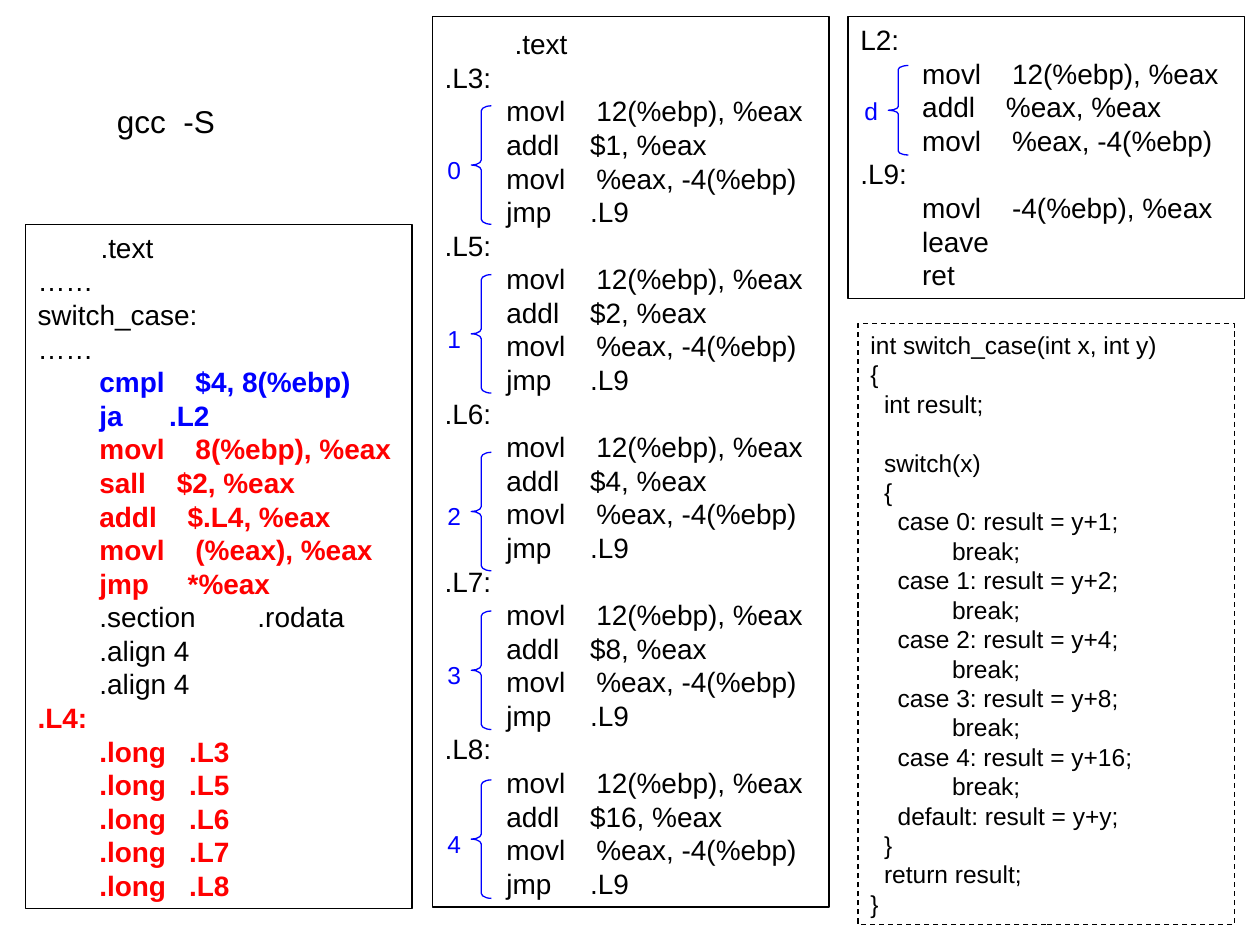
from lxml import etree
from pptx import Presentation
from pptx.dml.color import RGBColor
from pptx.enum.dml import MSO_LINE_DASH_STYLE as Dash
from pptx.enum.shapes import MSO_SHAPE as Shape
from pptx.enum.text import MSO_ANCHOR as Anchor, MSO_AUTO_SIZE as AutoSize, PP_ALIGN as Align
from pptx.oxml.ns import qn
from pptx.util import Inches, Pt

BLACK = RGBColor(0x00, 0x00, 0x00)
BLUE = RGBColor(0x00, 0x00, 0xFF)
RED = RGBColor(0xFF, 0x00, 0x00)

INDENT = " " * 8
LINE_RATIO = 1.2
PLAIN = {"color": BLACK, "bold": False}
CHECK = {"color": BLUE, "bold": True}
JUMP = {"color": RED, "bold": True}

SWITCH_CODE = """int switch_case(int x, int y)
{
  int result;

  switch(x)
  {
    case 0: result = y+1;
            break;
    case 1: result = y+2;
            break;
    case 2: result = y+4;
            break;
    case 3: result = y+8;
            break;
    case 4: result = y+16;
            break;
    default: result = y+y;
  }
  return result;
}"""

DEFAULT_CODE = """L2:
        movl    12(%ebp), %eax
        addl    %eax, %eax
        movl    %eax, -4(%ebp)
.L9:
        movl    -4(%ebp), %eax
        leave
        ret"""

TABLE_SECTIONS = [
    (PLAIN, ["\t.text", "……", "switch_case:", "……"]),
    (CHECK, [INDENT + "cmpl    $4, 8(%ebp)", INDENT + "ja      .L2"]),
    (JUMP, [INDENT + code for code in (
        "movl    8(%ebp), %eax", "sall    $2, %eax", "addl    $.L4, %eax",
        "movl    (%eax), %eax", "jmp     *%eax")]),
    (PLAIN, [INDENT + code for code in (".section        .rodata", ".align 4", ".align 4")]),
    (JUMP, [".L4:"] + [f"{INDENT}.long   .L{number}" for number in (3, 5, 6, 7, 8)]),
]

CASES = [(3, 1, 0.71), (5, 2, 2.05), (6, 4, 3.46), (7, 8, 4.72), (8, 16, 6.06)]


def set_values(target, values):
    """Set each named attribute of the target."""
    for name, value in values.items():
        setattr(target, name, value)


def prepare_frame(shape, side=0.1, edge=0.05):
    """Give a shape's text frame its margins and wrapping."""
    set_values(shape.text_frame, {
        "word_wrap": True, "auto_size": AutoSize.SHAPE_TO_FIT_TEXT,
        "vertical_anchor": Anchor.TOP,
        "margin_left": Inches(side), "margin_right": Inches(side),
        "margin_top": Inches(edge), "margin_bottom": Inches(edge)})
    return shape.text_frame


def write_lines(frame, lines, size):
    """Write each line, a list of (text, format) runs, as a paragraph."""
    for index, runs in enumerate(lines):
        paragraph = frame.add_paragraph() if index else frame.paragraphs[0]
        line_size = max([run_format.get("size", size) for _, run_format in runs])
        set_values(paragraph, {"alignment": Align.LEFT,
                               "line_spacing": Pt(round(line_size * LINE_RATIO, 1))})
        for text, run_format in runs:
            if not text:
                etree.SubElement(paragraph._p, qn("a:endParaRPr"), sz=str(size * 100))
                continue
            run = paragraph.add_run()
            run.text = text
            set_values(run.font, {"name": "Arial", "size": Pt(run_format.get("size", size)),
                                  "bold": run_format["bold"]})
            run.font.color.rgb = run_format["color"]


def plain_lines(code):
    """Turn code into plain black lines."""
    return [[(text, PLAIN)] for text in code.split("\n")]


def add_code_box(slide, left, top, width, height, lines, size=16, dash=None):
    """Place an outlined box that holds code."""
    box = slide.shapes.add_shape(Shape.RECTANGLE, Inches(left), Inches(top),
                                 Inches(width), Inches(height))
    box.shadow.inherit = False
    box.fill.background()
    set_values(box.line, {"width": Pt(0.75), "dash_style": dash})
    box.line.color.rgb = BLACK
    write_lines(prepare_frame(box), lines, size)


def add_text(slide, left, top, width, height, text, size, color, side=0.1, edge=0.05):
    """Place one line of text."""
    box = slide.shapes.add_textbox(Inches(left), Inches(top), Inches(width), Inches(height))
    write_lines(prepare_frame(box, side, edge), [[(text, {"color": color, "bold": False})]], size)


def add_case_mark(slide, left, top, height, label, label_drop):
    """Place a brace with its case label on the left."""
    brace = slide.shapes.add_shape(Shape.LEFT_BRACE, Inches(left + 0.24), Inches(top),
                                   Inches(0.16), Inches(height))
    brace.shadow.inherit = False
    brace.fill.background()
    brace.line.width = Pt(0.75)
    brace.line.color.rgb = BLUE
    brace.adjustments[0] = height / 0.94 * 0.25
    add_text(slide, left, top + label_drop, 0.31, 0.23, label, 14, BLUE, side=0.05, edge=0)


def add_jump_table(slide, left, top, width, height):
    """Place the range check and the jump table."""
    lines = [[(text, style)] for style, texts in TABLE_SECTIONS for text in texts]
    add_code_box(slide, left, top, width, height, lines)


def add_cases(slide, left, top, width, height):
    """Place the assembly of cases 0 to 4 with their marks."""
    lines = [[(INDENT, {**PLAIN, "size": 18}), (".text", PLAIN)]]
    for number, addend, _ in CASES:
        lines += plain_lines(f".L{number}:")
        for code in ("movl    12(%ebp), %eax", f"addl    ${addend}, %eax",
                     "movl    %eax, -4(%ebp)", "jmp     .L9"):
            lines += plain_lines(INDENT + code)
    add_code_box(slide, left, top, width, height, lines)
    for case, (_, _, offset) in enumerate(CASES):
        add_case_mark(slide, left + 0.07, top + offset, 0.94, str(case), 0.39)


def add_default(slide, left, top, width, height):
    """Place the assembly of the default case with its mark."""
    add_code_box(slide, left, top, width, height, plain_lines(DEFAULT_CODE))
    add_case_mark(slide, left + 0.08, top + 0.39, 0.71, "d", 0.24)


def main():
    """Build the slide and save it."""
    presentation = Presentation()
    set_values(presentation, {"slide_width": Inches(10), "slide_height": Inches(7.5)})
    slide = presentation.slides.add_slide(presentation.slide_layouts[6])
    add_jump_table(slide, 0.2, 1.78, 3.07, 5.43)
    add_cases(slide, 3.43, 0.13, 3.15, 7.07)
    add_default(slide, 6.73, 0.13, 3.15, 2.24)
    add_text(slide, 0.83, 0.76, 1.5, 0.4, "gcc  -S", 18, BLACK)
    add_code_box(slide, 6.81, 2.57, 2.99, 4.77, plain_lines(SWITCH_CODE), 14, Dash.DASH)
    presentation.save("out.pptx")


if __name__ == "__main__":
    main()
